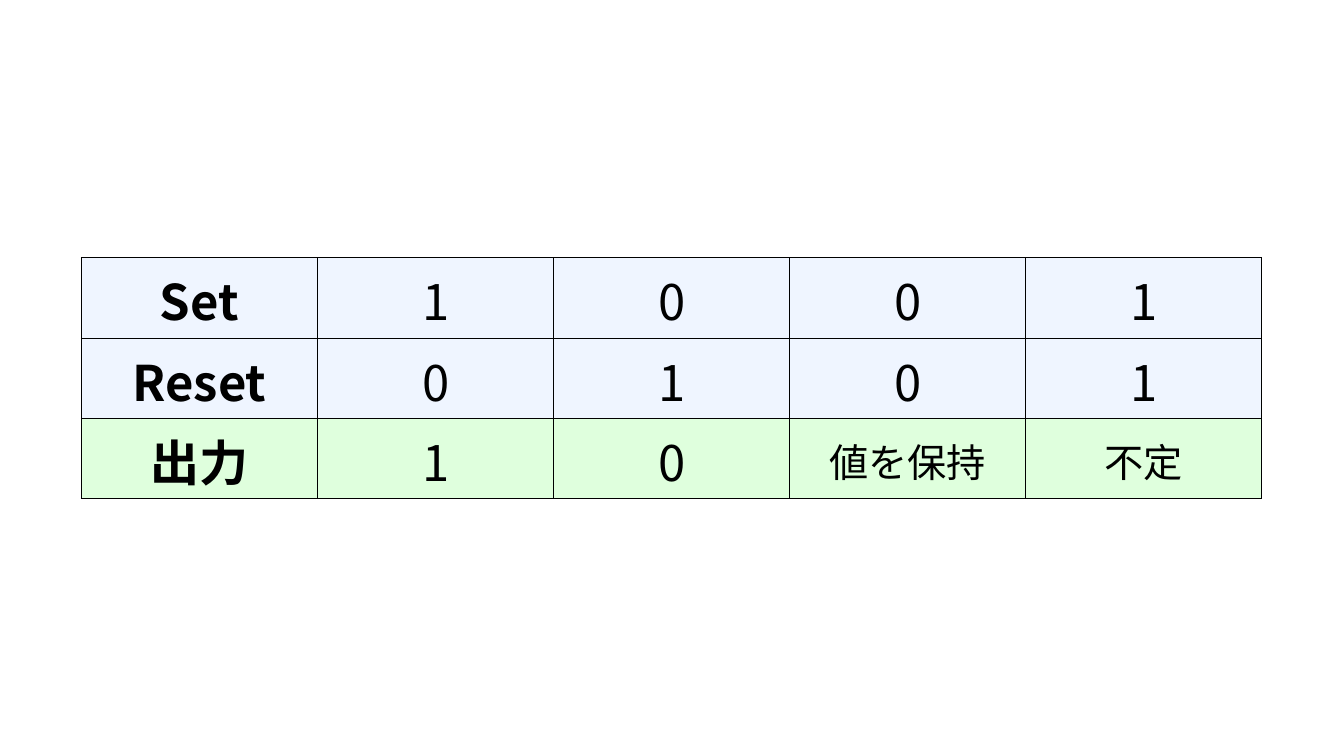
from lxml import etree
from pptx import Presentation
from pptx import util as u
from pptx.dml import color
from pptx.enum import text
from pptx.oxml import ns

FONT = "Noto Sans CJK JP"
HUES = {"ink": "000000", "input": "EFF5FF", "output": "DFFFDD"}
ROWS = [
    ("input", ["Set", "1", "0", "0", "1"]),
    ("input", ["Reset", "0", "1", "0", "1"]),
    ("output", ["出力", "1", "0", "値を保持", "不定"]),
]
LEFT, TOP, WIDE, HIGH = 58.2, 184.2, 168.65, 57.4
CELL = {
    "vertical_anchor": text.MSO_ANCHOR.MIDDLE,
    "margin_left": u.Pt(2),
    "margin_top": u.Pt(2),
    "margin_right": u.Pt(2),
    "margin_bottom": u.Pt(0),
}


def apply(item, look):
    for name, value in look.items():
        setattr(item, name, value)


def tint(hue):
    return color.RGBColor.from_string(HUES[hue])


def add_rules(cell):
    """Draw a thin line on all four sides of the cell."""
    props = cell._tc.get_or_add_tcPr()
    for side in ("lnL", "lnR", "lnT", "lnB"):
        line = etree.SubElement(props, ns.qn("a:" + side), w=str(u.Pt(1)))
        fill = etree.SubElement(line, ns.qn("a:solidFill"))
        etree.SubElement(fill, ns.qn("a:srgbClr"), val=HUES["ink"])


def add_word(cell, word, size, bold):
    para = cell.text_frame.paragraphs[0]
    para.alignment = text.PP_ALIGN.CENTER
    run = para.add_run()
    run.text = word
    apply(run.font, {"name": FONT, "size": u.Pt(size), "bold": bold})
    run.font.color.rgb = tint("ink")
    etree.SubElement(run.font._element, ns.qn("a:ea"), typeface=FONT)


def fill_cell(cell, word, hue, head):
    apply(cell, CELL)
    add_rules(cell)
    cell.fill.solid()
    cell.fill.fore_color.rgb = tint(hue)
    size = 35 if head or word.isdigit() else 28
    add_word(cell, word, size, head)


def add_truth(slide):
    """Add the truth table of the latch."""
    cols = len(ROWS[0][1])
    frame = slide.shapes.add_table(
        len(ROWS), cols, u.Pt(LEFT), u.Pt(TOP),
        u.Pt(WIDE * cols), u.Pt(HIGH * len(ROWS)))
    table = frame.table
    apply(table, {"first_row": False, "horz_banding": False})
    for col in table.columns:
        col.width = u.Pt(WIDE)
    for r, (hue, words) in enumerate(ROWS):
        table.rows[r].height = u.Pt(HIGH)
        for c, word in enumerate(words):
            fill_cell(table.cell(r, c), word, hue, c == 0)


def main():
    deck = Presentation()
    apply(deck, {"slide_width": u.Pt(960), "slide_height": u.Pt(540)})
    add_truth(deck.slides.add_slide(deck.slide_layouts[6]))
    deck.save("out.pptx")


if __name__ == "__main__":
    main()
